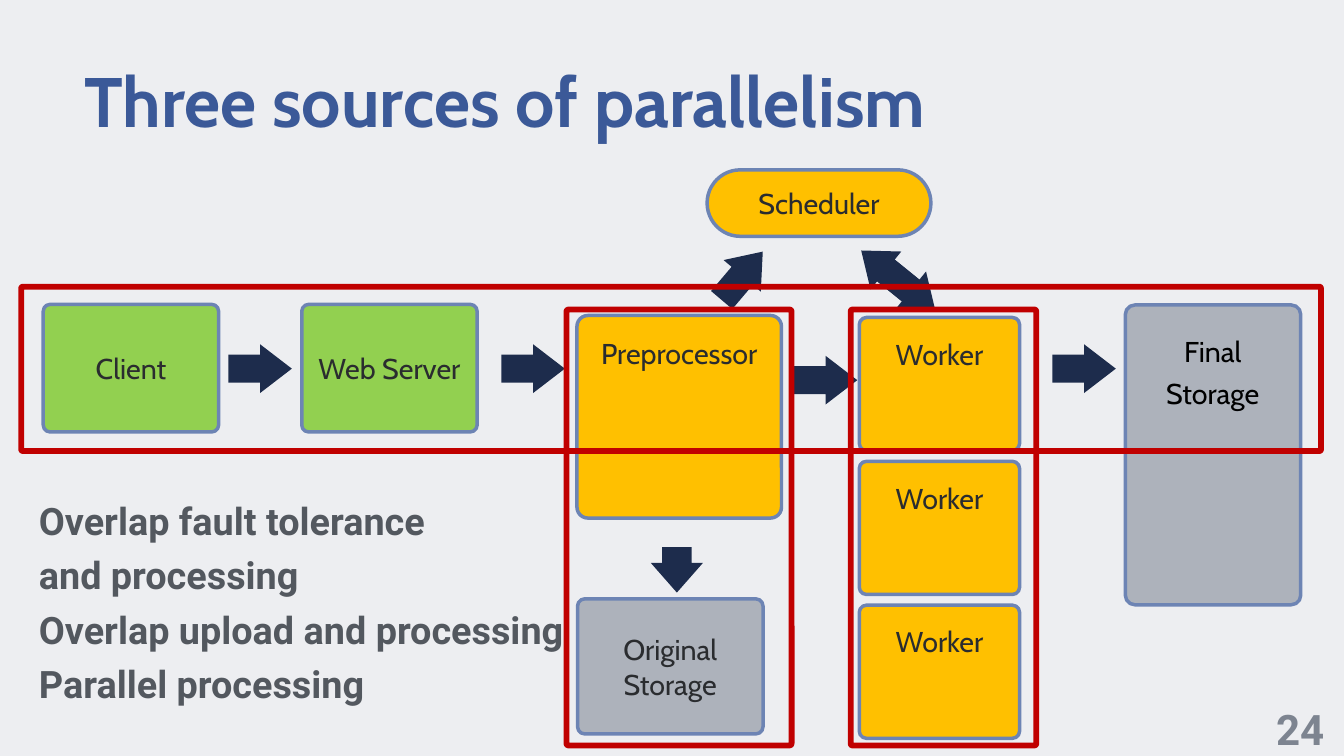
from pptx import Presentation
from pptx.dml.color import RGBColor
from pptx.enum.shapes import MSO_SHAPE
from pptx.enum.text import MSO_ANCHOR, PP_ALIGN
from pptx.util import Cm, Pt

ROUND, ARROW = MSO_SHAPE.ROUNDED_RECTANGLE, MSO_SHAPE.RIGHT_ARROW
TOP, MIDDLE = MSO_ANCHOR.TOP, MSO_ANCHOR.MIDDLE
LEFT, CENTER = PP_ALIGN.LEFT, PP_ALIGN.CENTER

PAPER = RGBColor(0xED, 0xEE, 0xF1)
BLUE = RGBColor(0x3B, 0x59, 0x98)
EDGE = RGBColor(0x6D, 0x84, 0xB4)
NAVY = RGBColor(0x1D, 0x2C, 0x4C)
GREEN = RGBColor(0x92, 0xD0, 0x50)
AMBER = RGBColor(0xFF, 0xC0, 0x00)
GRAY = RGBColor(0xAD, 0xB2, 0xBB)
RED = RGBColor(0xC0, 0x00, 0x00)
INK = RGBColor(0x2A, 0x2C, 0x2F)
BLACK = RGBColor(0x00, 0x00, 0x00)
SLATE = RGBColor(0x53, 0x58, 0x5F)
DIM = RGBColor(0x7D, 0x84, 0x90)


class Board:
    """Style and current slide; all lengths are in centimetres."""
    head, body = "Cabin", "Roboto"
    size, pad = 40.9, 0.1

    def __init__(self, slide):
        self.slide = slide
        fill = slide.background.fill
        fill.solid()
        fill.fore_color.rgb = PAPER

    def shape(self, kind, at, group=None):
        shapes = (group or self.slide).shapes
        item = shapes.add_shape(kind, *map(Cm, at))
        item.shadow.inherit = False
        return item

    def label(self, frame, lines, size, font, color, bold=False,
              align=CENTER, space=None):
        for i, line in enumerate(lines):
            para = frame.paragraphs[0] if i == 0 else frame.add_paragraph()
            para.alignment = align
            para.line_spacing = space
            run = para.add_run()
            run.text = line
            run.font.size = Pt(size)
            run.font.name = font
            run.font.bold = bold
            run.font.color.rgb = color

    def inset(self, frame, side, top):
        frame.margin_left = frame.margin_right = Cm(side)
        frame.margin_top = frame.margin_bottom = Cm(top)

    def box(self, at, fill, *lines, bend=0.054, anchor=MIDDLE, top=pad):
        item = self.shape(ROUND, at)
        item.adjustments[0] = bend
        item.fill.solid()
        item.fill.fore_color.rgb = fill
        item.line.color.rgb = EDGE
        item.line.width = Pt(5)
        frame = item.text_frame
        frame.vertical_anchor = anchor
        self.inset(frame, self.pad, top)
        self.label(frame, lines, self.size, self.head, INK)

    def arrow(self, x, y, turn=0, wide=3.2, high=2.46, group=None):
        item = self.shape(ARROW, (x, y, wide, high), group)
        item.adjustments[0] = 0.571
        item.adjustments[1] = 0.651
        item.rotation = turn
        item.fill.solid()
        item.fill.fore_color.rgb = NAVY
        item.line.fill.background()

    def frame(self, *at):
        item = self.shape(ROUND, at)
        item.adjustments[0] = 0.009
        item.fill.background()
        item.line.color.rgb = RED
        item.line.width = Pt(8.25)

    def text(self, at, lines, size, font, color, pad=(0, 0), anchor=TOP,
             **style):
        frame = self.slide.shapes.add_textbox(*map(Cm, at)).text_frame
        frame.word_wrap = True
        frame.vertical_anchor = anchor
        self.inset(frame, *pad)
        self.label(frame, lines, size, font, color, **style)


def main():
    deck = Presentation()
    deck.slide_width, deck.slide_height = Cm(67.74), Cm(38.1)
    board = Board(deck.slides.add_slide(deck.slide_layouts[6]))

    # Title
    board.text((4.24, 2.9, 59.26, 5.11), ["Three sources of parallelism"],
               100, board.head, BLUE, bold=True, align=LEFT)

    # Pipeline stages
    board.box((29.08, 15.9, 10.31, 10.21), AMBER, "Preprocessor",
              anchor=TOP, top=0.86)
    for x, name in ((2.18, "Client"), (15.21, "Web Server")):
        board.box((x, 15.34, 8.84, 6.43), GREEN, name)
    board.box((56.72, 15.37, 8.84, 15.11), GRAY)
    board.text((58.47, 16.38, 5.31, 4.39), ["Final", "Storage"], board.size,
               board.head, BLACK, pad=(0.1, 0.1), anchor=MIDDLE, space=1.2)
    board.box((29.11, 30.18, 9.35, 6.81), GRAY, "Original", "Storage")
    board.box((35.64, 8.56, 11.28, 3.35), AMBER, "Scheduler", bend=0.5)

    # Arrows between stages
    for x, y in ((11.51, 17.35), (25.27, 17.35), (40.01, 17.93),
                 (53.04, 17.35)):
        board.arrow(x, y)
    board.arrow(32.97, 27.41, 90, 2.29, 2.62)

    # Scheduler links, the right one pointing both ways
    board.arrow(35.81, 12.67, 310.3)
    pair = board.slide.shapes.add_group_shape()
    board.arrow(44.3, 13.41, 39, group=pair)
    board.arrow(43.05, 12.4, 219, group=pair)

    # Workers
    for i in range(3):
        board.box((43.31, 16 + i * 7.25, 8.08, 6.71), AMBER, "Worker",
                  anchor=TOP, top=0.86)

    # Red frames, one per source of parallelism
    board.frame(28.55, 15.6, 11.35, 21.97)
    board.frame(1.07, 14.45, 65.51, 8.28)
    board.frame(42.88, 15.6, 9.35, 21.97)

    # Summary and page number
    board.text((1.96, 24.61, 59.26, 10.08),
               ["Overlap fault tolerance", "and processing",
                "Overlap upload and processing", "Parallel processing"],
               54, board.body, SLATE, bold=True, align=LEFT, space=1.2)
    board.text((63.5, 35.08, 4.06, 3.07), ["24"], 60, board.body, DIM,
               pad=(0.25, 0.13), bold=True, space=1.1)

    deck.save("out.pptx")


if __name__ == "__main__":
    main()
